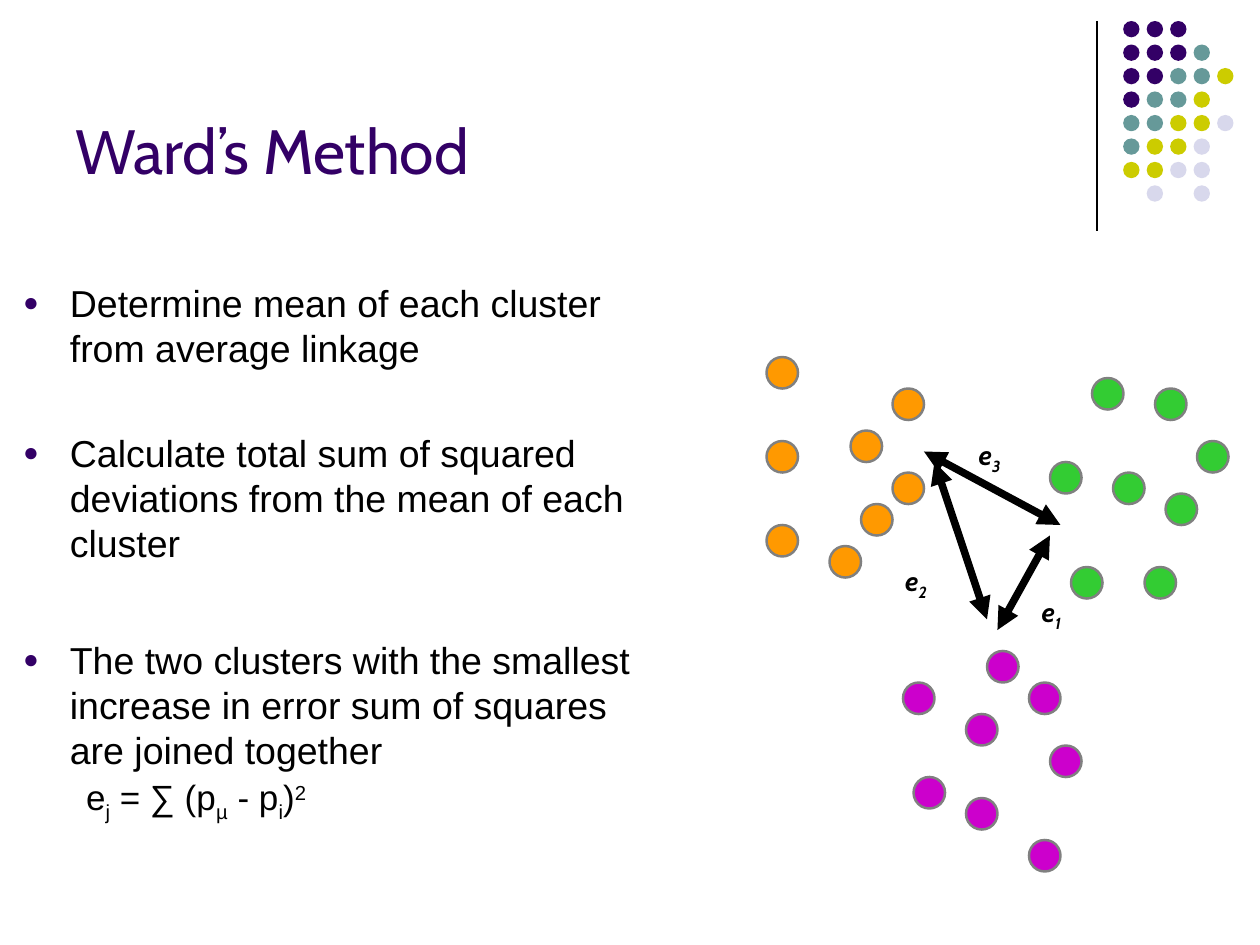
from lxml import etree
from pptx import Presentation
from pptx.dml.color import RGBColor
from pptx.enum.shapes import MSO_CONNECTOR as CONN, MSO_SHAPE as SHAPE
from pptx.enum.text import MSO_ANCHOR as ANCHOR
from pptx.oxml.ns import qn
from pptx.util import Inches, Pt

W, H = Inches(7), Inches(5.25)
U = W / 120  # grid unit: the slide is 120 columns by 90 rows
COLORS = {
    "indigo": "330066", "teal": "669999", "olive": "CCCC00", "mist": "D8D8EC",
    "orange": "FF9900", "green": "33CC33", "purple": "CC00CC",
    "gray": "808080", "black": "000000",
}
DOT_KEYS = {"i": "indigo", "t": "teal", "o": "olive", "m": "mist"}
DOT_ROWS = ["iii", "iiit", "iitto", "itto", "ttoom", "toom", "oomm", " m m"]

# Columns and rows counted from the top left of the diagram
CLUSTERS = {
    "orange": [(0, 0), (0, 8), (0, 16), (6, 18), (8, 7), (9, 14), (12, 3), (12, 11)],
    "green": [(27, 10), (29, 20), (31, 2), (33, 11), (36, 20), (37, 3), (38, 13), (41, 8)],
    "purple": [(13, 31), (14, 40), (19, 34), (19, 42), (21, 28), (25, 31), (25, 46), (27, 37)],
}
DISTANCES = [  # arrow start, arrow end, label corner
    ((27, 17), (22, 26), (25, 22)),
    ((16, 10), (21, 25), (12, 19)),
    ((28, 16), (15, 9), (19, 7)),
]
FORMULA = [("e", 0), ("j", -25), (" = ∑ (p", 0), ("µ", -25), (" - p", 0),
           ("i", -25), (")", 0), ("2", 30)]


def rgb(name):
    return RGBColor.from_string(COLORS[name])


def add_text(p, runs, size, font="Arial", color="black", bold=False, italic=False):
    """Add runs of (text, baseline shift in percent)."""
    for text, shift in runs:
        r = p.add_run()
        r.text = text
        f = r.font
        f.size, f.name, f.bold, f.italic = Pt(size), font, bold, italic
        f.color.rgb = rgb(color)
        if shift:
            r._r.get_or_add_rPr().set("baseline", str(shift * 1000))


def add_box(s, x, y, w, h, anchor=ANCHOR.TOP):
    tf = s.shapes.add_textbox(*(round(v) for v in (x, y, w, h))).text_frame
    tf.word_wrap = True
    tf.vertical_anchor = anchor
    tf.margin_left = tf.margin_right = Inches(0.07)
    tf.margin_top = tf.margin_bottom = Inches(0.04)
    return tf


def add_circle(s, x, y, size, fill, outline=None):
    sp = s.shapes.add_shape(SHAPE.OVAL, *(round(v) for v in (x, y, size, size)))
    sp.shadow.inherit = False
    sp.fill.solid()
    sp.fill.fore_color.rgb = rgb(fill)
    if outline:
        sp.line.color.rgb = rgb(outline)
        sp.line.width = Pt(1)
    else:
        sp.line.fill.background()


def add_line(s, start, end, width, arrows=False):
    c = s.shapes.add_connector(CONN.STRAIGHT, *(round(v) for v in (*start, *end)))
    c.line.color.rgb = rgb("black")
    c.line.width = Pt(width)
    if arrows:
        ln = c.line._get_or_add_ln()
        for tag in ("a:headEnd", "a:tailEnd"):
            etree.SubElement(ln, qn(tag), type="triangle")
    etree.SubElement(c._element.spPr, qn("a:effectLst"))


def set_indent(p, left, first, bullet=False):
    pPr = p._p.get_or_add_pPr()
    pPr.set("marL", str(Inches(left)))
    pPr.set("indent", str(Inches(first)))
    if bullet:
        clr = etree.SubElement(pPr, qn("a:buClr"))
        etree.SubElement(clr, qn("a:srgbClr"), val=COLORS["indigo"])
        etree.SubElement(pPr, qn("a:buSzPct"), val="70000")
        etree.SubElement(pPr, qn("a:buFont"), typeface="Arial")
        etree.SubElement(pPr, qn("a:buChar"), char="●")


def add_ornament(s, x, y, w, h):
    """A vertical rule with a pattern of small dots to its right."""
    add_line(s, (x, y), (x, y + h), 0.75)
    left, pitch = x + 0.19 * w, 0.172 * w
    for row, keys in enumerate(DOT_ROWS):
        for col, key in enumerate(keys):
            if key != " ":
                add_circle(s, left + col * pitch, y + row * pitch, 0.12 * w, DOT_KEYS[key])


def add_title(s, x, y, w, h):
    tf = add_box(s, x, y, w, h, ANCHOR.BOTTOM)
    add_text(tf.paragraphs[0], [("Ward’s Method", 0)], 25, "Cabin", "indigo")


def add_points(s, x, y, w, h, points, formula=None):
    tf = add_box(s, x, y, w, h)
    for i, point in enumerate(points):
        p = tf.add_paragraph() if i else tf.paragraphs[0]
        p.line_spacing = Pt(18)
        if i:
            p.space_before = Pt(24)
        set_indent(p, 0.26, -0.26, bullet=True)
        add_text(p, [(point, 0)], 15)
    if formula:
        p = tf.add_paragraph()
        p.line_spacing, p.space_before = Pt(18), Pt(2.5)
        set_indent(p, 0.57, -0.22)
        add_text(p, formula, 14)


def add_diagram(s, x, y, w, h):
    """Three clusters, on a grid of 44 by 49, and the distances between them."""
    def at(point):
        return x + point[0] * w / 44, y + point[1] * h / 49

    for color, points in CLUSTERS.items():
        for point in points:
            add_circle(s, *at(point), 3 * w / 44, color, "gray")
    for n, (start, end, corner) in enumerate(DISTANCES, 1):
        add_line(s, at(start), at(end), 3, arrows=True)
        tf = add_box(s, *at(corner), 7 * w / 44, 4.5 * h / 49)
        add_text(tf.paragraphs[0], [("e", 0), (str(n), -25)], 11, "Cabin",
                 bold=True, italic=True)


def main():
    prs = Presentation()
    prs.slide_width, prs.slide_height = W, H
    s = prs.slides.add_slide(prs.slide_layouts[6])
    add_ornament(s, 104.5 * U, 2 * U, 13 * U, 20 * U)
    add_title(s, 6 * U, 1.5 * U, 99 * U, 17 * U)
    add_points(s, U, 26 * U, 64 * U, 28 * U, [
        "Determine mean of each cluster from average linkage",
        "Calculate total sum of squared deviations from the mean of each cluster",
    ])
    add_points(s, U, 60 * U, 64 * U, 20 * U, [
        "The two clusters with the smallest increase in error sum of squares are joined together",
    ], FORMULA)
    add_diagram(s, 73 * U, 34 * U, 44 * U, 49 * U)
    prs.save("out.pptx")


if __name__ == "__main__":
    main()
